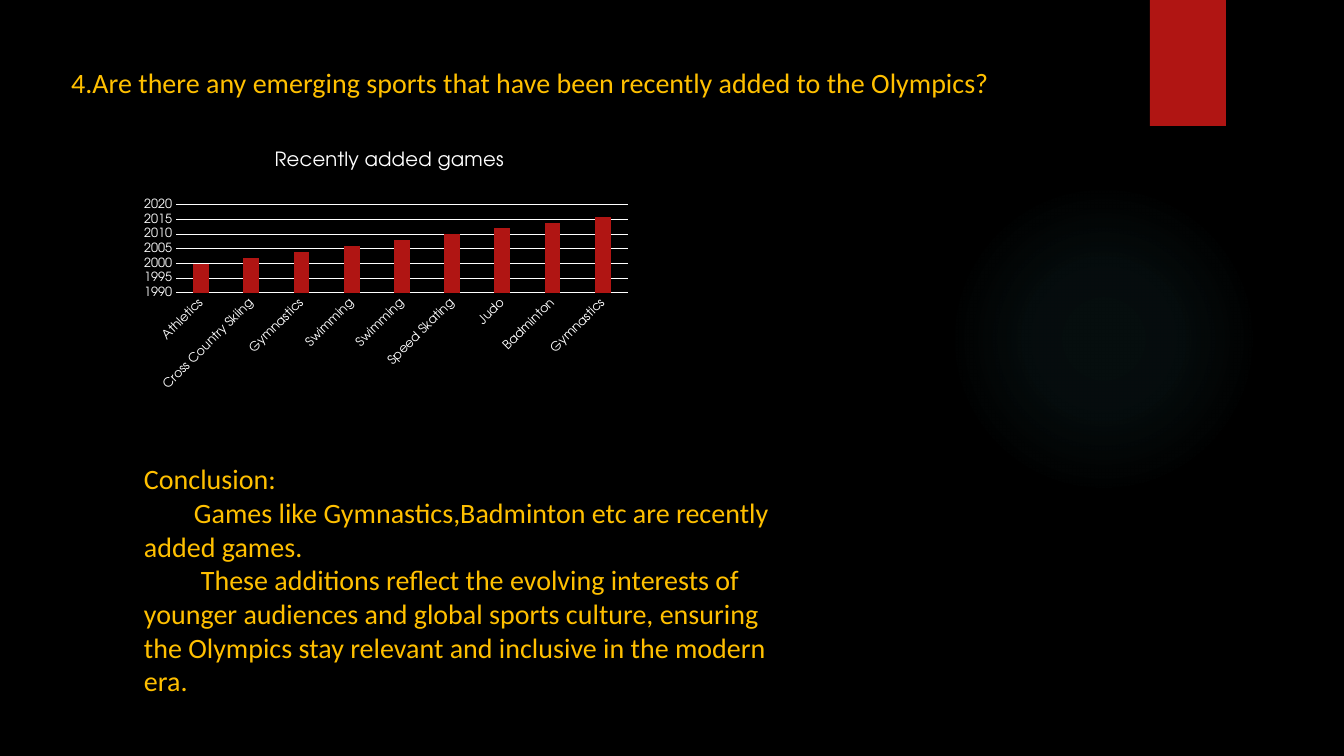
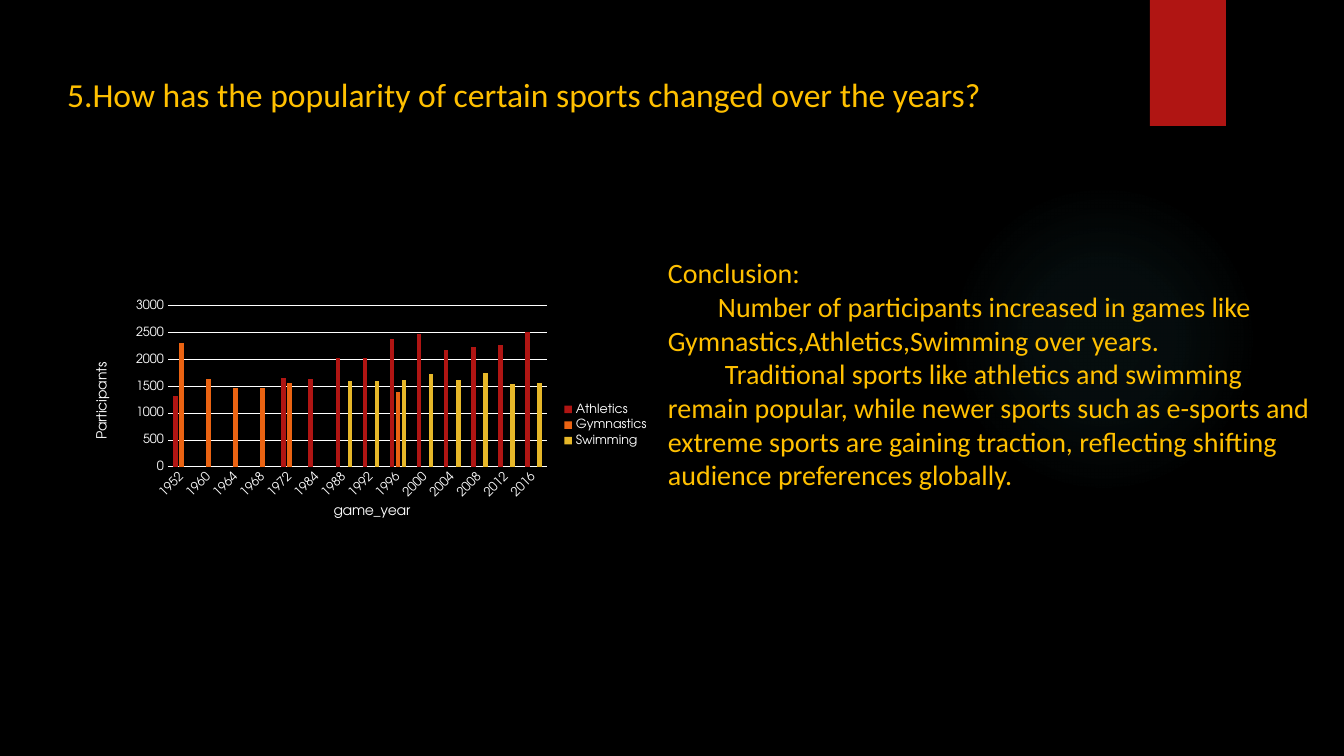
import lxml.etree
import pptx
import pptx.chart.data
import pptx.dml.color
import pptx.enum.chart
import pptx.enum.shapes
import pptx.enum.text
import pptx.oxml
import pptx.oxml.ns
import pptx.util

EMU_PER_PX = 914400 / 100.8
COLORS = {
    "background": "000000",
    "text": "FFC000",
    "chart": "FFFFFF",
    "red": "B01513",
    "orange": "EA6312",
    "yellow": "E6B729",
    "glow": "50B9C1",
}
TEXT_FONT = "Calibri"
CHART_FONT = "TeX Gyre Adventor"
GLOW_BOX = (949, 184, 310, 310)
GLOW_STOPS = [(0, 7), (36, 6), (69, 0)]
BAND_BOX = (1150, 0, 76, 126)
FIRST_LINE_INDENTS = [0, 50, 57]

SLIDES = [
    {
        "title": "4.Are there any emerging sports that have been recently added to the Olympics?",
        "title_box": (61, 60, 1022, 112),
        "title_size": 20,
        "conclusion_box": (134, 457, 672, 250),
        "conclusion": [
            "Conclusion:",
            "Games like Gymnastics,Badminton etc are recently added games.",
            "These additions reflect the evolving interests of younger audiences and global "
            "sports culture, ensuring the Olympics stay relevant and inclusive in the modern era.",
        ],
        "chart_box": (134, 135, 504, 262),
        "plot_box": (176, 205, 452, 88),
        "chart_title": ("Recently added games", (271, 146)),
        "scale": (1990, 2020, 5),
        "categories": ["Athletics", "Cross Country Skiing", "Gymnastics", "Swimming", "Swimming",
                       "Speed Skating", "Judo", "Badminton", "Gymnastics"],
        "series": [
            ("Series 1", "red", [2000, 2002, 2004, 2006, 2008, 2010, 2012, 2014, 2016]),
        ],
    },
    {
        "title": "5.How has the popularity of certain sports changed over the years?",
        "title_box": (57, 69, 1010, 132),
        "title_size": 24,
        "conclusion_box": (658, 251, 672, 281),
        "conclusion": [
            "Conclusion:",
            "Number of participants increased in games like Gymnastics,Athletics,Swimming over years.",
            "Traditional sports like athletics and swimming remain popular, while newer sports such "
            "as e-sports and extreme sports are gaining traction, reflecting shifting audience "
            "preferences globally.",
        ],
        "chart_box": (73, 295, 586, 260),
        "plot_box": (168, 306, 379, 161),
        "category_title": ("game_year", (331, 501)),
        "value_title": ("Participants", (92, 360)),
        "scale": (0, 3000, 500),
        "categories": ["1952", "1960", "1964", "1968", "1972", "1984", "1988",
                       "1992", "1996", "2000", "2004", "2008", "2012", "2016"],
        "series": [
            ("Athletics", "red", [1320, None, None, None, 1650, 1630, 2030,
                                  2030, 2380, 2470, 2170, 2240, 2280, 2510]),
            ("Gymnastics", "orange", [2310, 1640, 1480, 1480, 1570, None, None,
                                      None, 1400, None, None, None, None, None]),
            ("Swimming", "yellow", [None, None, None, None, None, None, 1600,
                                    1610, 1620, 1740, 1620, 1750, 1540, 1570]),
        ],
    },
]


def px(value):
    return pptx.util.Emu(round(value * EMU_PER_PX))


def box_emu(box):
    return [px(value) for value in box]


def rgb(name):
    return pptx.dml.color.RGBColor.from_string(COLORS[name])


def style_font(font, size, name=TEXT_FONT, color="text"):
    font.name = name
    font.size = pptx.util.Pt(size)
    font.bold = False
    font.color.rgb = rgb(color)


def style_chart_font(font, size):
    style_font(font, size, CHART_FONT, "chart")


def style_line(line):
    line.color.rgb = rgb("chart")
    line.width = pptx.util.Pt(0.75)


def place_in_chart(parent, box, chart_box, index):
    qn = pptx.oxml.ns.qn
    previous = parent.find(qn("c:layout"))
    if previous is not None:
        parent.remove(previous)
    layout = parent.makeelement(qn("c:layout"))
    manual = lxml.etree.SubElement(layout, qn("c:manualLayout"))
    settings = [("xMode", "edge"), ("yMode", "edge")]
    left, top, width, height = chart_box
    fractions = [(box[0] - left) / width, (box[1] - top) / height]
    if len(box) == 4:
        settings.insert(0, ("layoutTarget", "inner"))
        fractions += [box[2] / width, box[3] / height]
    settings += [(key, f"{fraction:.4f}") for key, fraction in zip("xywh", fractions)]
    for key, value in settings:
        lxml.etree.SubElement(manual, qn("c:" + key)).set("val", value)
    parent.insert(index, layout)


def add_chart_title(owner, title, title_object, chart_box, size, rotation=0):
    text, position = title
    frame = title_object.text_frame
    frame.text = text
    style_chart_font(frame.paragraphs[0].runs[0].font, size)
    body = frame._txBody.find(pptx.oxml.ns.qn("a:bodyPr"))
    body.set("rot", str(rotation * 60000))
    body.set("vert", "horz")
    place_in_chart(title_object._element, position, chart_box, 1)


def add_column_chart(slide, content):
    chart_data = pptx.chart.data.CategoryChartData()
    chart_data.categories = content["categories"]
    for name, _, values in content["series"]:
        chart_data.add_series(name, values)
    chart_box = content["chart_box"]
    chart = slide.shapes.add_chart(pptx.enum.chart.XL_CHART_TYPE.COLUMN_CLUSTERED,
                                   *box_emu(chart_box), chart_data).chart
    style_chart_font(chart.font, 10)
    plot = chart.plots[0]
    plot.gap_width, plot.overlap, plot.vary_by_categories = 219, -27, False
    for series, (_, color, _) in zip(plot.series, content["series"]):
        series.format.fill.solid()
        series.format.fill.fore_color.rgb = rgb(color)
        series.invert_if_negative = False

    category_axis, value_axis = chart.category_axis, chart.value_axis
    for axis in (category_axis, value_axis):
        axis.major_tick_mark = pptx.enum.chart.XL_TICK_MARK.NONE
        style_chart_font(axis.tick_labels.font, 9)
    label_text = category_axis._element.find(pptx.oxml.ns.qn("c:txPr"))
    label_text.find(pptx.oxml.ns.qn("a:bodyPr")).set("rot", str(-45 * 60000))
    style_line(category_axis.format.line)
    style_line(value_axis.major_gridlines.format.line)
    value_axis.format.line.fill.background()
    value_axis.minimum_scale, value_axis.maximum_scale, value_axis.major_unit = content["scale"]

    chart.has_title = "chart_title" in content
    if chart.has_title:
        add_chart_title(chart, content["chart_title"], chart.chart_title, chart_box, 14)
    for axis, key, rotation in ((category_axis, "category_title", 0), (value_axis, "value_title", -90)):
        if key in content:
            add_chart_title(axis, content[key], axis.axis_title, chart_box, 10, rotation)
    chart.has_legend = len(content["series"]) > 1
    if chart.has_legend:
        chart.legend.position = pptx.enum.chart.XL_LEGEND_POSITION.RIGHT
        chart.legend.include_in_layout = False
        style_chart_font(chart.legend.font, 9)
    plot_area = chart._chartSpace.chart.plotArea
    place_in_chart(plot_area, content["plot_box"], chart_box, 0)


def add_plain_shape(slide, kind, box, color):
    shape = slide.shapes.add_shape(kind, *box_emu(box))
    shape.shadow.inherit = False
    shape.fill.solid()
    shape.fill.fore_color.rgb = rgb(color)
    shape.line.fill.background()
    return shape


def glow_fill():
    stops = "".join(
        f'<a:gs pos="{position * 1000}"><a:srgbClr val="{COLORS["glow"]}">'
        f'<a:alpha val="{alpha * 1000}"/></a:srgbClr></a:gs>'
        for position, alpha in GLOW_STOPS)
    return pptx.oxml.parse_xml(
        f'<a:gradFill {pptx.oxml.ns.nsdecls("a")} rotWithShape="1"><a:gsLst>{stops}</a:gsLst>'
        '<a:path path="circle"><a:fillToRect l="50000" t="50000" r="50000" b="50000"/></a:path>'
        '</a:gradFill>')


def decorate_layout(layout, slide):
    kinds = pptx.enum.shapes.MSO_SHAPE
    glow = add_plain_shape(slide, kinds.OVAL, GLOW_BOX, "glow")
    properties = glow._element.spPr
    solid = properties.find(pptx.oxml.ns.qn("a:solidFill"))
    properties.replace(solid, glow_fill())
    band = add_plain_shape(slide, kinds.RECTANGLE, BAND_BOX, "red")
    for offset, shape in enumerate((glow, band)):
        shape._element.nvSpPr.cNvPr.set("id", str(20 + offset))
        layout.shapes._spTree.insert(2 + offset, shape._element)


def add_title(slide, content):
    title = slide.shapes.title
    title.left, title.top, title.width, title.height = box_emu(content["title_box"])
    frame = title.text_frame
    frame.text = content["title"]
    frame.word_wrap = True
    frame.vertical_anchor = pptx.enum.text.MSO_ANCHOR.TOP
    paragraph = frame.paragraphs[0]
    paragraph.alignment = pptx.enum.text.PP_ALIGN.LEFT
    style_font(paragraph.runs[0].font, content["title_size"])


def add_conclusion(slide, content):
    frame = slide.shapes.add_textbox(*box_emu(content["conclusion_box"])).text_frame
    frame.word_wrap = True
    frame.text = "\n".join(content["conclusion"])
    for paragraph, indent in zip(frame.paragraphs, FIRST_LINE_INDENTS):
        properties = paragraph._p.get_or_add_pPr()
        properties.set("marL", "0")
        properties.set("indent", str(px(indent)))
        style_font(paragraph.runs[0].font, 20)


def main():
    presentation = pptx.Presentation()
    presentation.slide_width, presentation.slide_height = px(1344), px(756)
    background = presentation.slide_master.background.fill
    background.solid()
    background.fore_color.rgb = rgb("background")
    layout = presentation.slide_layouts[5]
    for number, content in enumerate(SLIDES):
        slide = presentation.slides.add_slide(layout)
        if number == 0:
            decorate_layout(layout, slide)
        add_title(slide, content)
        add_column_chart(slide, content)
        add_conclusion(slide, content)
    presentation.save("out.pptx")


if __name__ == "__main__":
    main()
